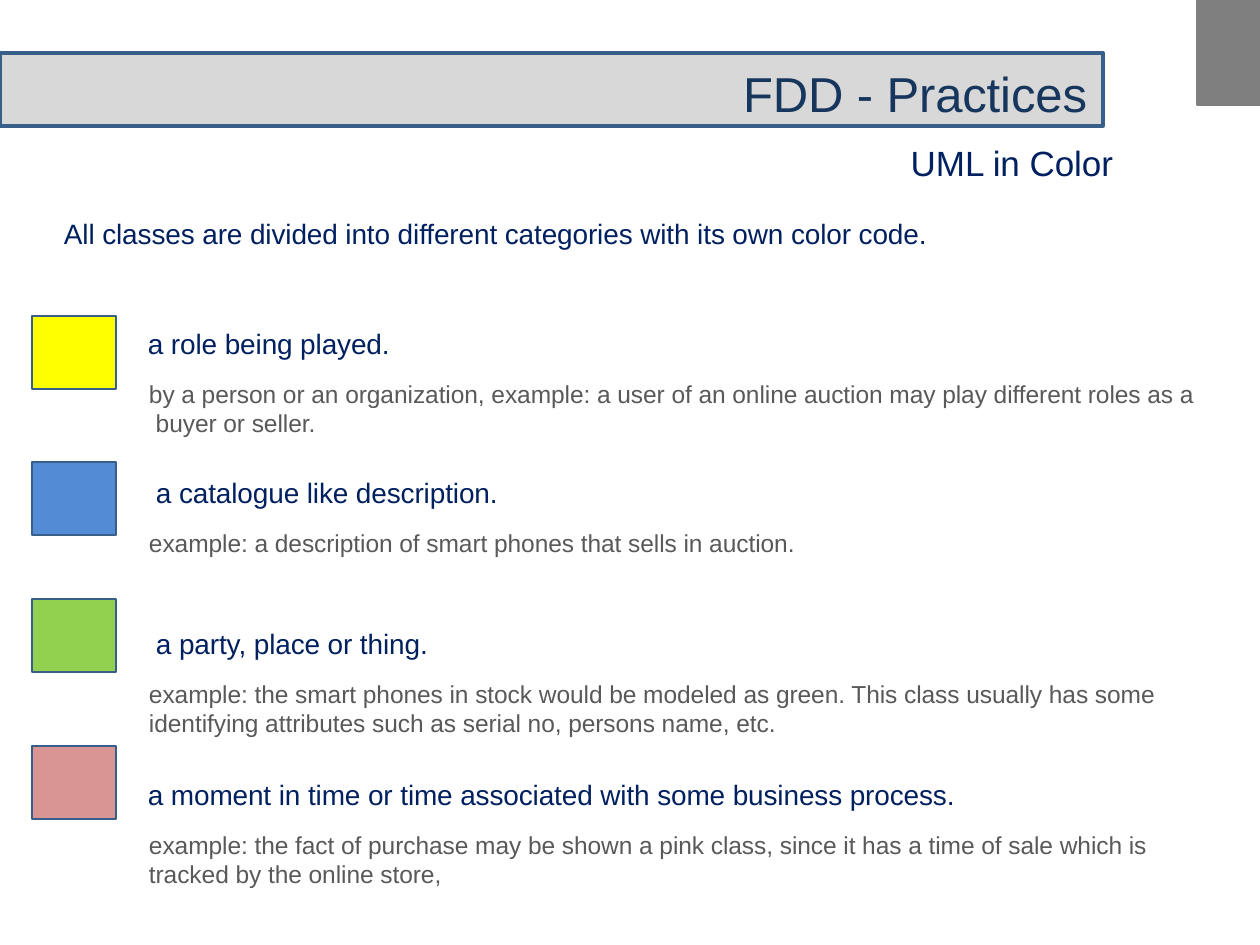
import pptx
import pptx.util
import pptx.dml.color
import pptx.enum.shapes
import pptx.enum.text

RGB = pptx.dml.color.RGBColor
ALIGN = pptx.enum.text.PP_ALIGN
PX = 914400 // 126
FONT = "Arial"
WHITE = RGB(0xFF, 0xFF, 0xFF)
SILVER = RGB(0xD8, 0xD8, 0xD8)
GRAY = RGB(0x7F, 0x7F, 0x7F)
EDGE = RGB(0x38, 0x5E, 0x8A)
INK = RGB(0x17, 0x36, 0x5D)
NAVY = RGB(0x00, 0x20, 0x60)
SLATE = RGB(0x59, 0x59, 0x59)
YELLOW = RGB(0xFF, 0xFF, 0x00)
BLUE = RGB(0x53, 0x8C, 0xD4)
GREEN = RGB(0x92, 0xD0, 0x50)
PINK = RGB(0xD9, 0x95, 0x93)

INTRO = "All classes are divided into different categories with its own color code."
ITEMS = [
    (YELLOW, 316, 43.3, 85, "a role being played.", 11.4,
     "by a person or an organization, example: a user of an online auction "
     "may play different roles as a\n buyer or seller."),
    (BLUE, 462, 21.6, 93, "a catalogue like description.", 10.7,
     "example: a description of smart phones that sells in auction."),
    (GREEN, 599, 39.6, 93, "a party, place or thing.", 11.4,
     "example: the smart phones in stock would be modeled as green. "
     "This class usually has some\nidentifying attributes such as serial no, "
     "persons name, etc."),
    (PINK, 746, 22.7, 85, "a moment in time or time associated with some business process.", 11.4,
     "example: the fact of purchase may be shown a pink class, since it has "
     "a time of sale which is\ntracked by the online store,"),
]


def scale(box):
    """Turn a box in px into EMU lengths."""
    return [n * PX for n in box]


def paint(shape, fill, line, width):
    """Give a shape a plain fill and outline."""
    shape.fill.solid()
    shape.fill.fore_color.rgb = fill
    shape.line.color.rgb = line
    shape.line.width = pptx.util.Pt(width)


def block(slide, box, fill, line):
    """Draw a plain rectangle."""
    kind = pptx.enum.shapes.MSO_SHAPE.RECTANGLE
    shape = slide.shapes.add_shape(kind, *scale(box))
    shape.shadow.inherit = False
    paint(shape, fill, line, 0.75)


def setup(frame, top=0, right=0):
    """Set the insets, wrap and anchor of a text frame."""
    frame.word_wrap = True
    frame.auto_size = pptx.enum.text.MSO_AUTO_SIZE.NONE
    frame.vertical_anchor = pptx.enum.text.MSO_ANCHOR.TOP
    frame.margin_left = frame.margin_bottom = 0
    frame.margin_top, frame.margin_right = top * PX, right * PX
    return frame


def write(para, text, size, color, align=ALIGN.LEFT, gap=0, left=0, pitch=None):
    """Fill a paragraph with one run for each line."""
    para.alignment = align
    para.space_before = pptx.util.Pt(gap)
    if pitch:
        para.line_spacing = pptx.util.Pt(pitch)
    props = para._p.get_or_add_pPr()
    props.set("marL", str(left * PX))
    props.set("indent", "0")
    for num, line in enumerate(text.split("\n")):
        if num:
            para.add_line_break()
        run = para.add_run()
        run.text = line
        run.font.name = FONT
        run.font.size = pptx.util.Pt(size)
        run.font.color.rgb = color
        run._r.get_or_add_rPr().set("spc", "-5")


def header(slide, box):
    """Place the title bar and the subtitle below it."""
    x, y, w, h = box
    title = slide.shapes.title
    title.left, title.top, title.width, title.height = scale(box)
    paint(title, SILVER, EDGE, 2)
    frame = setup(title.text_frame, 10, 16)
    write(frame.paragraphs[0], "FDD - Practices", 28, INK, ALIGN.RIGHT)
    sub = slide.shapes.add_textbox(*scale((x + 63, y + 89, w - 53, 40)))
    write(setup(sub.text_frame).paragraphs[0], "UML in Color", 20, NAVY, ALIGN.RIGHT)


def legend(slide, box):
    """Place the colour swatches and the text that explains them."""
    x, y, w, h = box
    for color, top, *rest in ITEMS:
        block(slide, (x - 31, top, 84, 73), color, EDGE)
    frame = setup(slide.shapes.add_textbox(*scale(box)).text_frame)
    write(frame.paragraphs[0], INTRO, 16, NAVY, left=1)
    for color, top, gap, left, name, drop, note in ITEMS:
        write(frame.add_paragraph(), name, 16, NAVY, gap=gap, left=left)
        pitch = 16.5 if "\n" in note else None
        write(frame.add_paragraph(), note, 14, SLATE, gap=drop, left=86, pitch=pitch)


def main():
    """Build the slide and save it."""
    deck = pptx.Presentation()
    deck.slide_width, deck.slide_height = scale((1260, 945))
    slide = deck.slides.add_slide(deck.slide_layouts[5])
    slide.background.fill.solid()
    slide.background.fill.fore_color.rgb = WHITE
    header(slide, (0, 53, 1103, 73))
    block(slide, (1197, 0, 63, 105), GRAY, GRAY)
    legend(slide, (63, 217, 1177, 678))
    deck.save("out.pptx")


if __name__ == "__main__":
    main()
